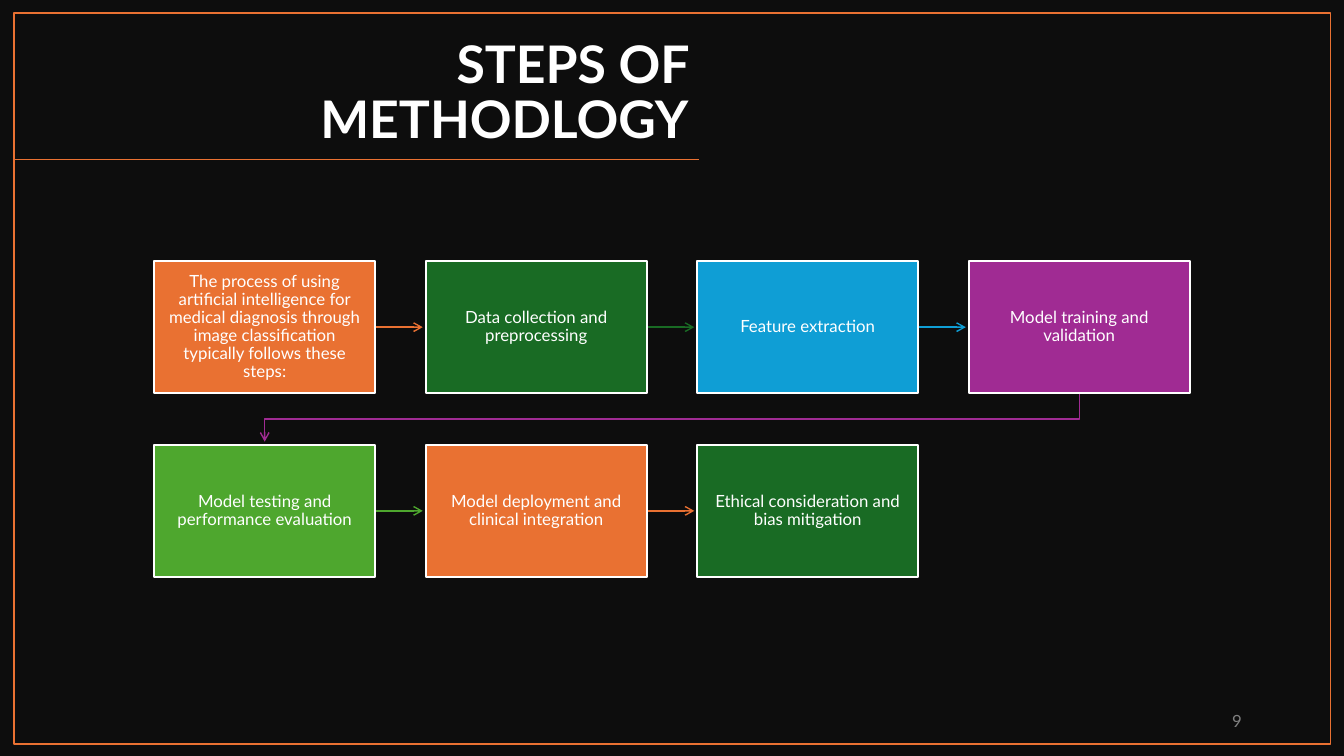
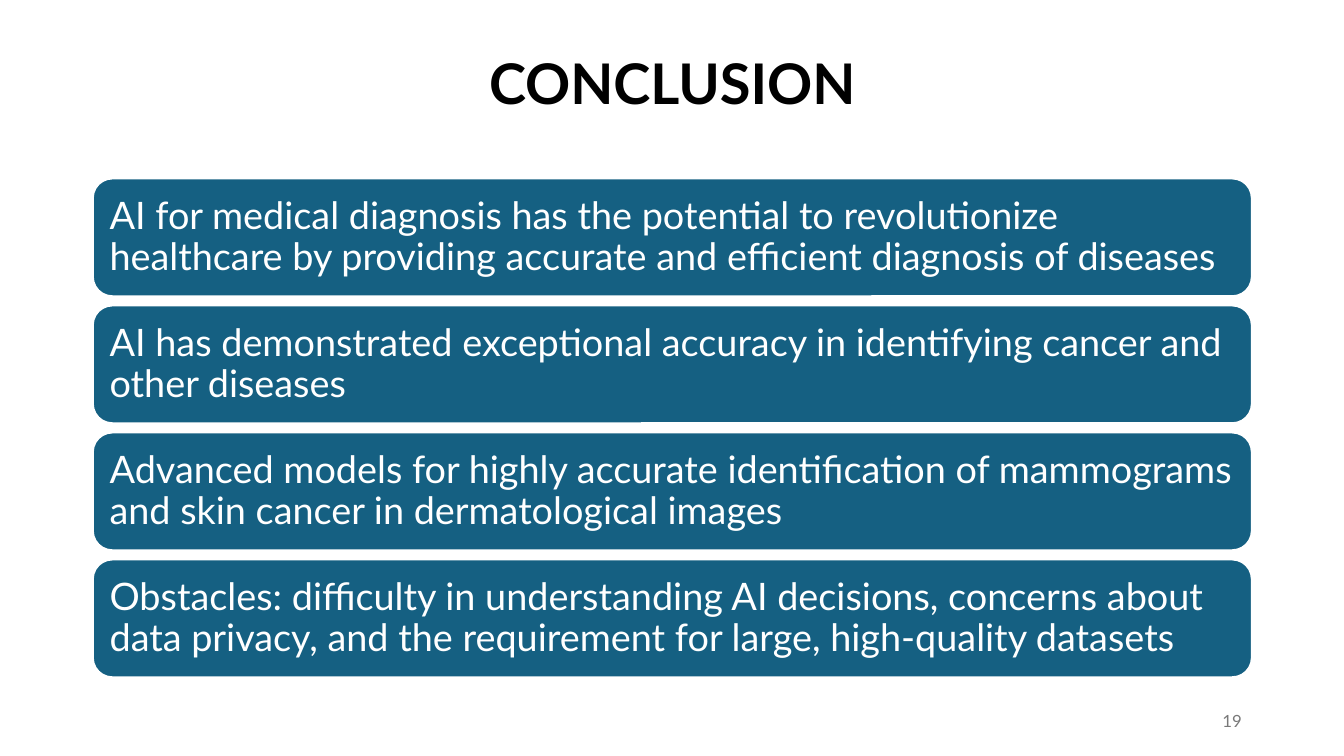
from dataclasses import dataclass
from itertools import pairwise

from pptx import Presentation
from pptx.dml.color import RGBColor
from pptx.enum.shapes import MSO_CONNECTOR, MSO_SHAPE
from pptx.enum.text import MSO_ANCHOR, MSO_AUTO_SIZE, PP_ALIGN
from pptx.oxml.ns import qn
from pptx.util import Inches, Pt
from lxml import etree

LEFT, CENTER, RIGHT = PP_ALIGN.LEFT, PP_ALIGN.CENTER, PP_ALIGN.RIGHT
MIDDLE, BOTTOM = MSO_ANCHOR.MIDDLE, MSO_ANCHOR.BOTTOM
NO_AUTOFIT = MSO_AUTO_SIZE.NONE
RECTANGLE, ROUNDED = MSO_SHAPE.RECTANGLE, MSO_SHAPE.ROUNDED_RECTANGLE
STRAIGHT = MSO_CONNECTOR.STRAIGHT

WHITE = RGBColor(0xFF, 0xFF, 0xFF)
BLACK = RGBColor(0x00, 0x00, 0x00)
NIGHT = RGBColor(0x0D, 0x0D, 0x0D)
ORANGE = RGBColor(0xE9, 0x71, 0x32)
FOREST = RGBColor(0x19, 0x6B, 0x24)
SKY = RGBColor(0x0F, 0x9E, 0xD5)
PURPLE = RGBColor(0xA0, 0x2B, 0x93)
LEAF = RGBColor(0x4E, 0xA7, 0x2E)
TEAL = RGBColor(0x15, 0x60, 0x82)
GRAY = RGBColor(0x80, 0x80, 0x80)
DARK_GRAY = RGBColor(0x79, 0x79, 0x79)

FONT = "Lato"
ARROW_REACH = 0.94

STEPS = [
    ("The process of using artificial intelligence for medical diagnosis "
     "through image classification typically follows these steps:", ORANGE),
    ("Data collection and preprocessing", FOREST),
    ("Feature extraction", SKY),
    ("Model training and validation", PURPLE),
    ("Model testing and performance evaluation", LEAF),
    ("Model deployment and clinical integration", ORANGE),
    ("Ethical consideration and bias mitigation", FOREST),
]

FINDINGS = [
    "AI for medical diagnosis has the potential to revolutionize healthcare "
    "by providing accurate and efficient diagnosis of diseases",
    "AI has demonstrated exceptional accuracy in identifying cancer and other diseases",
    "Advanced models for highly accurate identification of mammograms "
    "and skin cancer in dermatological images",
    "Obstacles: difficulty in understanding AI decisions, concerns about data privacy, "
    "and the requirement for large, high-quality datasets",
]


@dataclass
class Grid:
    """Columns and rows inside an area given in percent of the slide."""
    left: float
    top: float
    width: float
    height: float
    columns: int
    rows: int
    column_gap: float
    row_gap: float

    def cell(self, index):
        row, column = divmod(index, self.columns)
        width = (self.width - self.column_gap * (self.columns - 1)) / self.columns
        height = (self.height - self.row_gap * (self.rows - 1)) / self.rows
        return (self.left + column * (width + self.column_gap),
                self.top + row * (height + self.row_gap), width, height)


def write(frame, text, size=12, color=WHITE, bold=False, align=LEFT,
          anchor=MIDDLE, spacing=0.9, inset=None):
    frame.word_wrap = True
    frame.auto_size = NO_AUTOFIT
    frame.vertical_anchor = anchor
    if inset is not None:
        frame.margin_left = frame.margin_right = Inches(inset)
        frame.margin_top = frame.margin_bottom = Inches(inset)
    paragraph = frame.paragraphs[0]
    paragraph.alignment = align
    paragraph.line_spacing = spacing
    run = paragraph.add_run()
    run.text = text
    run.font.name = FONT
    run.font.size = Pt(size)
    run.font.bold = bold
    run.font.color.rgb = color


class Deck:
    def __init__(self):
        self.presentation = Presentation()
        self.presentation.slide_width = Inches(13.333)
        self.presentation.slide_height = Inches(7.5)
        self.slide = None

    def point(self, x, y):
        return (round(self.presentation.slide_width * x / 100),
                round(self.presentation.slide_height * y / 100))

    def area(self, left, top, width, height):
        return *self.point(left, top), *self.point(width, height)

    def new_slide(self, background):
        self.slide = self.presentation.slides.add_slide(
            self.presentation.slide_layouts[5])
        fill = self.slide.background.fill
        fill.solid()
        fill.fore_color.rgb = background

    def title(self, text, place, **style):
        heading = self.slide.shapes.title
        heading.left, heading.top, heading.width, heading.height = self.area(*place)
        write(heading.text_frame, text, bold=True, **style)

    def number(self, text, color):
        box = self.slide.shapes.add_textbox(*self.area(70.65, 92.67, 22.5, 5.33))
        write(box.text_frame, text, color=color, align=RIGHT, spacing=1.0)

    def box(self, place, kind=RECTANGLE, fill=None, outline=WHITE, weight=1.5,
            text=None, **style):
        panel = self.slide.shapes.add_shape(kind, *self.area(*place))
        panel.shadow.inherit = False
        if fill is None:
            panel.fill.background()
        else:
            panel.fill.solid()
            panel.fill.fore_color.rgb = fill
        panel.line.color.rgb = outline
        panel.line.width = Pt(weight)
        if text:
            write(panel.text_frame, text, inset=0.11, **style)

    def route(self, points, color, arrow=True):
        stops = [self.point(*stop) for stop in points]
        if len(stops) == 2:
            path = self.slide.shapes.add_connector(STRAIGHT, *stops[0], *stops[1])
        else:
            builder = self.slide.shapes.build_freeform(*stops[0])
            builder.add_line_segments(stops[1:], close=False)
            path = builder.convert_to_shape()
            path.fill.background()
        path.line.color.rgb = color
        path.line.width = Pt(1)
        properties = path.element.spPr
        outline = properties.find(qn("a:ln"))
        if arrow:
            etree.SubElement(outline, qn("a:tailEnd"), type="arrow")
        etree.SubElement(properties, qn("a:effectLst"))

    def flow_arrow(self, start, end, color):
        left, top, width, height = start
        next_left, next_top, next_width, _ = end
        if top == next_top:
            right, middle = left + width, top + height / 2
            tip = right + (next_left - right) * ARROW_REACH
            self.route([(right, middle), (tip, middle)], color)
            return
        center, bottom = left + width / 2, top + height
        next_center = next_left + next_width / 2
        gap = next_top - bottom
        turn, tip = bottom + gap / 2, bottom + gap * ARROW_REACH
        self.route([(center, bottom), (center, turn),
                    (next_center, turn), (next_center, tip)], color)


def methodology(deck):
    deck.new_slide(NIGHT)
    deck.title("STEPS OF METHODLOGY", (6.9, 5.6, 45.08, 14.93),
               size=37, align=RIGHT, anchor=BOTTOM)
    deck.route([(51.98, 21.07), (1.05, 21.07)], ORANGE, arrow=False)
    deck.box((1.05, 1.73, 97.95, 96.67), outline=ORANGE, weight=1)
    deck.number("9", GRAY)
    flow = Grid(11.48, 34.53, 77.04, 41.8, columns=4, rows=2,
                column_gap=3.77, row_gap=6.8)
    cells = [flow.cell(index) for index in range(len(STEPS))]
    for (start, end), (_, color) in zip(pairwise(cells), STEPS):
        deck.flow_arrow(start, end, color)
    for cell, (step, color) in zip(cells, STEPS):
        deck.box(cell, fill=color, text=step, align=CENTER)


def conclusion(deck):
    deck.new_slide(WHITE)
    deck.title("CONCLUSION", (6.9, 5.33, 86.25, 12.13),
               size=40, color=BLACK, align=CENTER)
    stack = Grid(6.9, 23.6, 86.25, 66, columns=1, rows=len(FINDINGS),
                 column_gap=0, row_gap=1.2)
    for index, finding in enumerate(FINDINGS):
        deck.box(stack.cell(index), kind=ROUNDED, fill=TEAL, text=finding, size=27)
    deck.number("19", DARK_GRAY)


def main():
    deck = Deck()
    methodology(deck)
    conclusion(deck)
    deck.presentation.save("out.pptx")


if __name__ == "__main__":
    main()
